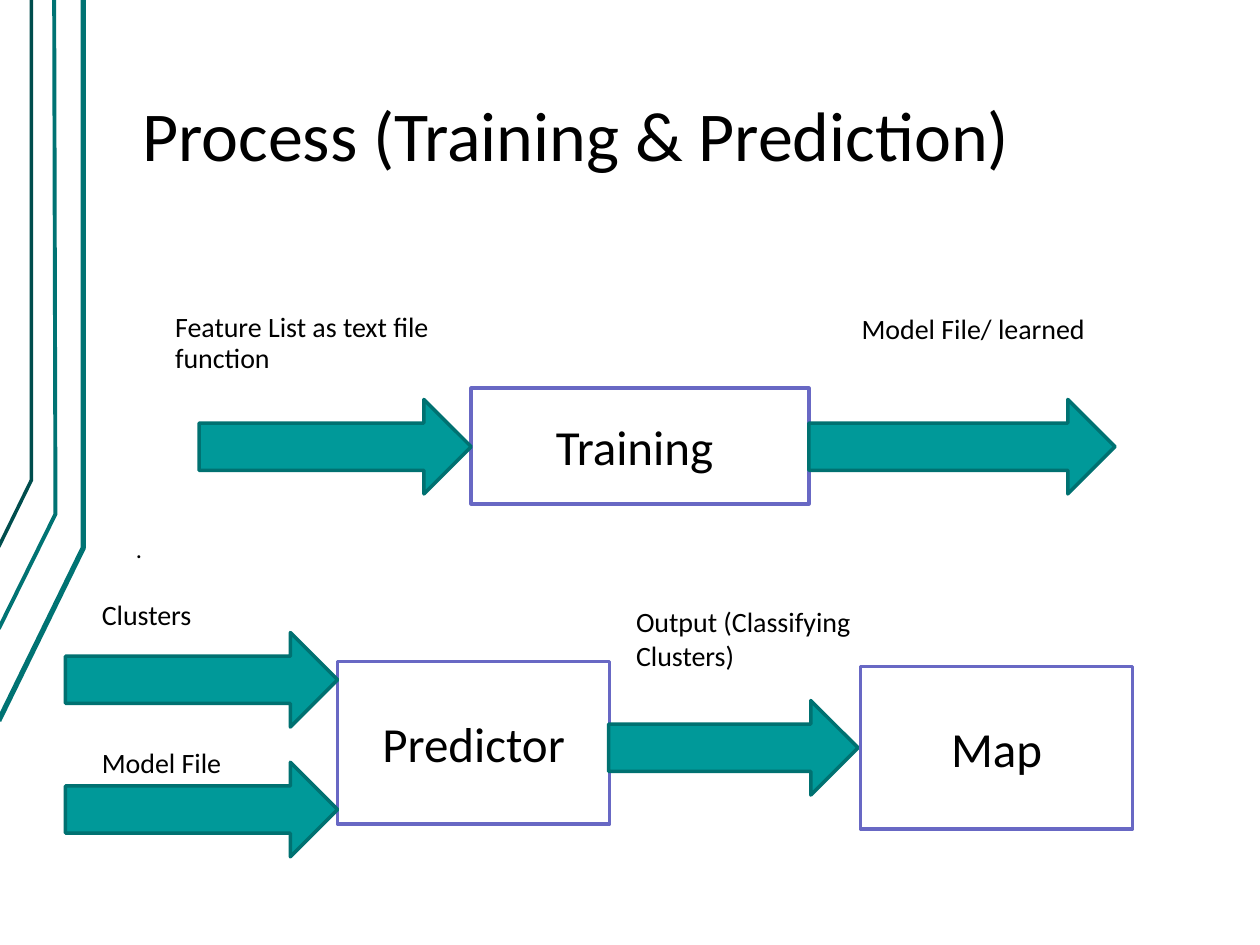
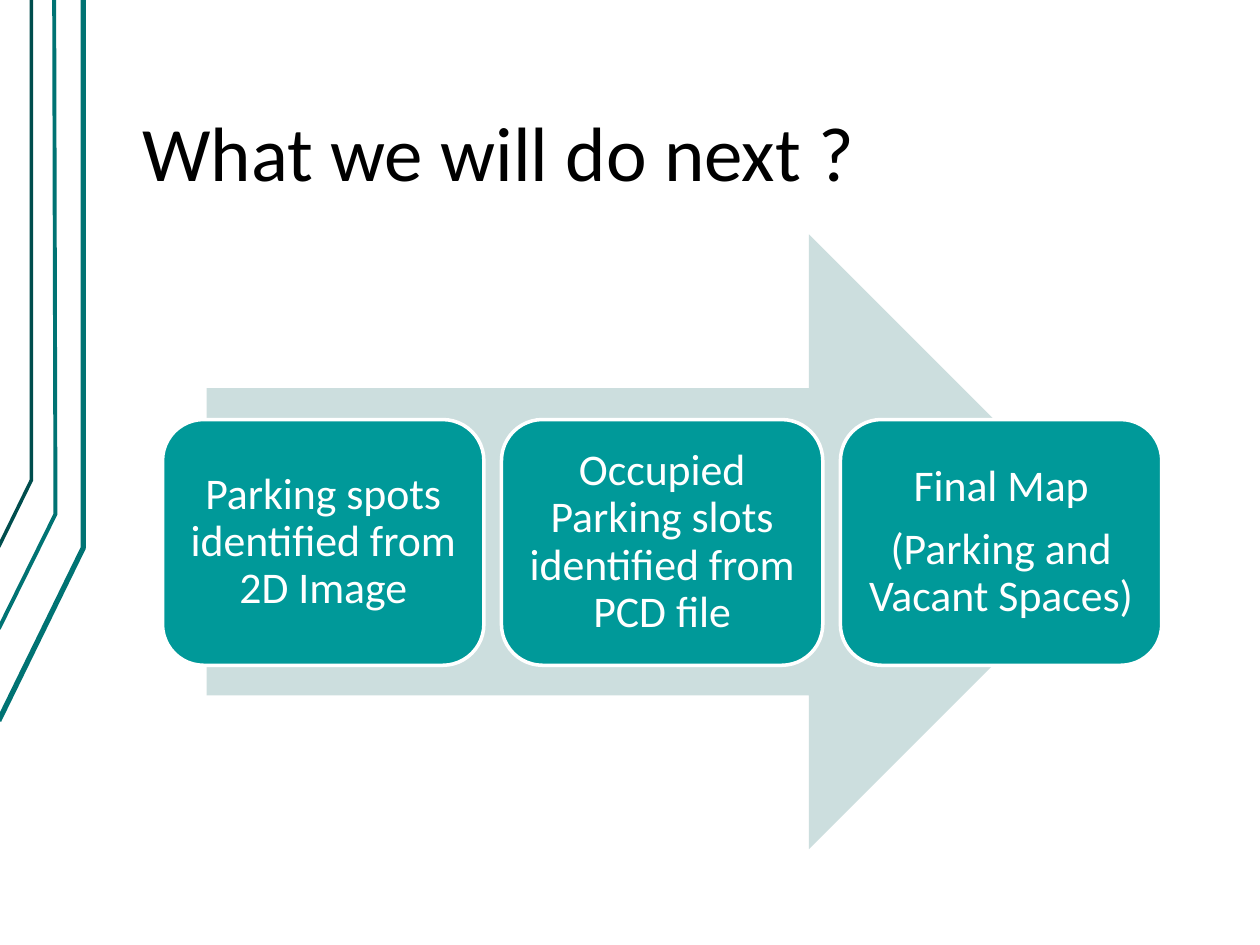
from pptx import Presentation
from pptx.dml.color import RGBColor
from pptx.enum.shapes import MSO_SHAPE
from pptx.enum.text import MSO_ANCHOR, MSO_AUTO_SIZE, PP_ALIGN
from pptx.oxml.ns import qn
from pptx.util import Inches, Pt
from lxml import etree

FONT = "Calibri"
BLACK, WHITE = "000000", "FFFFFF"
TEAL, TEAL_EDGE, PALE_TEAL = "009999", "007171", "CCDEDE"
STRIPE, DARK_STRIPE, BOX_EDGE = "007373", "004D4D", "6868C4"
STRIPES = [  # line width in points, colour, corners in inches
    (3, STRIPE, [(-0.01, 5.72), (0.66, 4.35), (0.66, 0)]),
    (2.25, STRIPE, [(-0.01, 4.99), (0.44, 4.08), (0.43, 0)]),
    (2, DARK_STRIPE, [(-0.01, 4.34), (0.25, 3.81), (0.25, 0)]),
]


def color(hex_code):
    return RGBColor.from_string(hex_code)


def write(frame, text, size, ink=BLACK, align=PP_ALIGN.LEFT, anchor=MSO_ANCHOR.TOP,
          margins=(0.1, 0.05, 0.1, 0.05), line_spacing=1.0, gap=0, indent=0):
    """Fill a text frame; each line of text becomes a paragraph."""
    frame.word_wrap = True
    frame.auto_size = MSO_AUTO_SIZE.NONE
    frame.vertical_anchor = anchor
    (frame.margin_left, frame.margin_top,
     frame.margin_right, frame.margin_bottom) = map(Inches, margins)
    for i, line in enumerate(text.split("\n")):
        paragraph = frame.paragraphs[0] if i == 0 else frame.add_paragraph()
        paragraph.text = line
        properties = paragraph._p.get_or_add_pPr()
        properties.set("marL", str(Inches(indent)))
        properties.set("indent", "0")
        etree.SubElement(properties, qn("a:buNone"))
        paragraph.alignment = align
        paragraph.line_spacing = line_spacing
        paragraph.space_before = Pt(gap if i else 0)
        paragraph.space_after = Pt(0)
        for run in paragraph.runs:
            run.font.name = FONT
            run.font.size = Pt(size)
            run.font.color.rgb = color(ink)


def place(shape, *box):
    shape.left, shape.top, shape.width, shape.height = map(Inches, box)


def add_block(slide, kind, box, fill, edge=None):
    block = slide.shapes.add_shape(kind, *map(Inches, box))
    block.shadow.inherit = False
    block.fill.solid()
    block.fill.fore_color.rgb = color(fill)
    if edge:
        block.line.color.rgb = color(edge)
        block.line.width = Pt(2)
    else:
        block.line.fill.background()
    return block


def add_step(slide, text, *box):
    step = add_block(slide, MSO_SHAPE.RECTANGLE, box, WHITE, BOX_EDGE)
    write(step.text_frame, text, 28, align=PP_ALIGN.CENTER, anchor=MSO_ANCHOR.MIDDLE)


def add_flow(slide, left, top, width):
    add_block(slide, MSO_SHAPE.RIGHT_ARROW, (left, top, width, 0.75), TEAL, TEAL_EDGE)


def add_label(slide, text, *box, size=16):
    label = slide.shapes.add_textbox(*map(Inches, box))
    write(label.text_frame, text, size)


def add_stripes(slide):
    for width, ink, corners in STRIPES:
        start, *rest = [(Inches(x), Inches(y)) for x, y in corners]
        builder = slide.shapes.build_freeform(*start)
        builder.add_line_segments(rest, close=False)
        stripe = builder.convert_to_shape()
        stripe.shadow.inherit = False
        stripe.fill.background()
        stripe.line.color.rgb = color(ink)
        stripe.line.width = Pt(width)


def start_slide(deck, layout, title, box, size, **text_format):
    slide = deck.slides.add_slide(deck.slide_layouts[layout])
    add_stripes(slide)
    place(slide.shapes.title, *box)
    write(slide.shapes.title.text_frame, title, size, **text_format)
    return slide


def build_process(deck):
    slide = start_slide(deck, 1, "Process (Training & Prediction)",
                        (1.03, 0.68, 8.5, 0.77), 40)

    # Training: features in, model out
    features = slide.placeholders[1]
    place(features, 0.95, 2.17, 8.5, 1.75)
    write(features.text_frame, "Feature List as text file function", 16,
          margins=(0.13, 0.32, 5.4, 0.07), line_spacing=0.9, indent=0.31)
    add_label(slide, "Model File/ learned", 6.74, 2.42, 2.3, 0.37)
    add_step(slide, "Training ", 3.74, 3.08, 2.68, 0.92)
    add_flow(slide, 1.58, 3.17, 2.16)
    add_flow(slide, 6.42, 3.17, 2.43)
    add_label(slide, ".", 0.98, 4.19, 0.4, 0.32, size=14)

    # Prediction: clusters and model in, map out
    add_step(slide, "Predictor", 2.68, 5.25, 2.16, 1.29)
    add_flow(slide, 4.83, 5.56, 1.98)
    for top in (5.02, 6.05):
        add_flow(slide, 0.52, top, 2.16)
    add_step(slide, "Map", 6.83, 5.29, 2.16, 1.29)
    add_label(slide, "Clusters", 0.71, 4.69, 1.23, 0.37)
    add_label(slide, "Model File", 0.71, 5.87, 1.23, 0.37)
    add_label(slide, "Output (Classifying Clusters)", 4.95, 4.75, 2.3, 0.64)


def build_next_steps(deck):
    slide = start_slide(deck, 5, "What we will do next ?", (1, 0.3, 8.5, 1.34), 44,
                        anchor=MSO_ANCHOR.BOTTOM, line_spacing=0.9,
                        margins=(0.13, 0.07, 0.13, 0.07))
    add_block(slide, MSO_SHAPE.RIGHT_ARROW, (1.64, 1.86, 7.22, 4.88), PALE_TEAL)

    # Three stages, evenly spaced along the arrow
    stages = ["Parking spots identified from 2D Image",
              "Occupied Parking slots identified from PCD file",
              "Final Map\n(Parking and Vacant Spaces)"]
    stage_width, stage_gap = 2.55, 0.14
    for i, text in enumerate(stages):
        left = 1.29 + i * (stage_width + stage_gap)
        stage = add_block(slide, MSO_SHAPE.ROUNDED_RECTANGLE,
                          (left, 3.33, stage_width, 1.95), TEAL, WHITE)
        write(stage.text_frame, text, 25, ink=WHITE, align=PP_ALIGN.CENTER,
              anchor=MSO_ANCHOR.MIDDLE, margins=(0.1,) * 4, line_spacing=0.9, gap=8.75)


def main():
    deck = Presentation()
    deck.slide_width, deck.slide_height = Inches(10), Inches(7.5)
    build_process(deck)
    build_next_steps(deck)
    deck.save("out.pptx")


if __name__ == "__main__":
    main()
